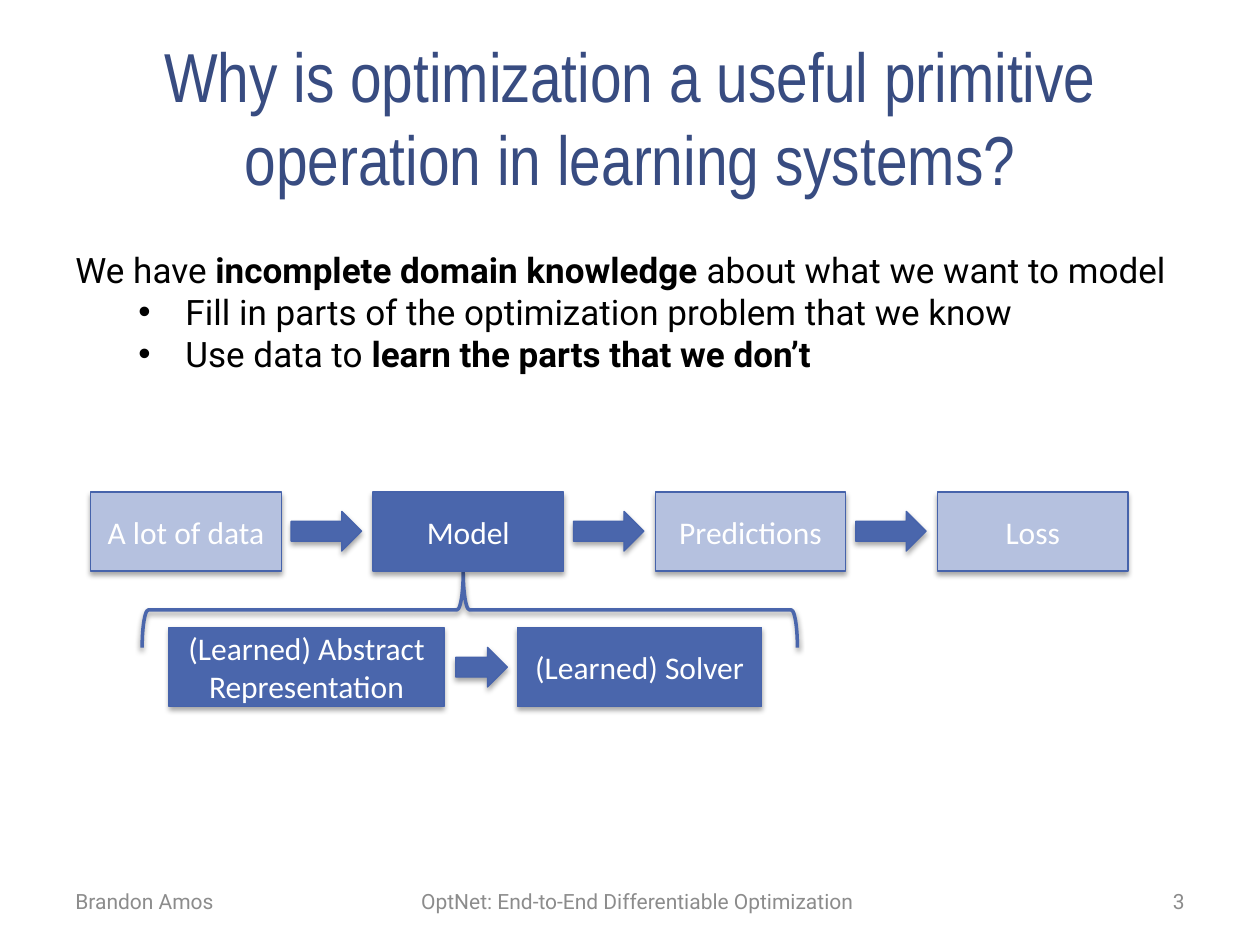
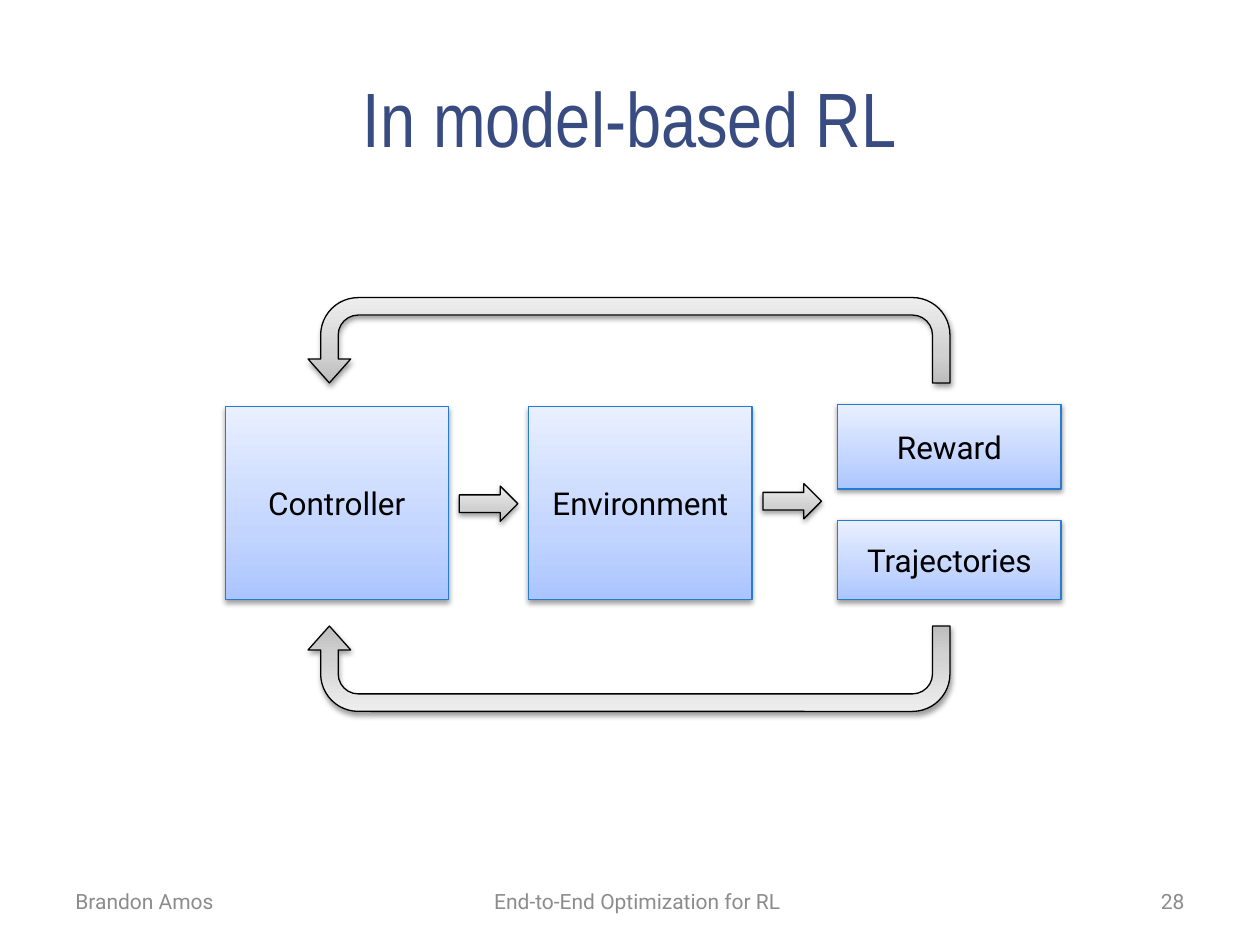
import pptx
import pptx.util
import pptx.dml.color
import pptx.enum.shapes
import pptx.enum.text
import pptx.oxml
import pptx.oxml.ns
import lxml.etree

Cm = pptx.util.Cm
Pt = pptx.util.Pt
RGBColor = pptx.dml.color.RGBColor
Shape = pptx.enum.shapes.MSO_SHAPE
Align = pptx.enum.text.PP_ALIGN
Anchor = pptx.enum.text.MSO_ANCHOR
qn = pptx.oxml.ns.qn

COLORS = {
    "title": "384C81", "footer": "8C8C8C", "black": "000000", "white": "FFFFFF",
    "blue": "4A66AC", "pale blue": "B5C1DF", "blue line": "4663AB", "box line": "247CD5",
}
# Gradients run from bottom to top: position in percent, colour
BOX_GRADIENT = [(0, "AAC5FF"), (35, "C3D5FF"), (100, "E8EFFF")]
ARROW_GRADIENT = [(0, "BDBDBD"), (35, "D1D1D1"), (100, "EEEEEE")]


def format_paragraph(paragraph, size, font, color, alignment=Align.LEFT):
    paragraph.alignment = alignment
    paragraph.font.size = Pt(size)
    paragraph.font.name = font
    paragraph.font.color.rgb = RGBColor.from_string(COLORS[color])


def add_block(slide, preset, position, fill, line, text="", font="Calibri",
              text_color="white", line_width=0.75, shadow_alpha=38, shadow_distance=1.6):
    """Add a shape with a soft shadow; fill is a colour name, a gradient or None."""
    shape = slide.shapes.add_shape(preset, *[Cm(length) for length in position])
    if fill is None:
        shape.fill.background()
    elif isinstance(fill, str):
        shape.fill.solid()
        shape.fill.fore_color.rgb = RGBColor.from_string(COLORS[fill])
    else:
        shape.fill.gradient()
        shape.fill.gradient_angle = 90
        stops = shape._element.spPr.find(".//" + qn("a:gsLst"))
        for stop in list(stops):
            stops.remove(stop)
        for percent, color in fill:
            stop = lxml.etree.SubElement(stops, qn("a:gs"), pos=str(percent * 1000))
            lxml.etree.SubElement(stop, qn("a:srgbClr"), val=color)
    shape.line.color.rgb = RGBColor.from_string(COLORS[line])
    shape.line.width = Pt(line_width)

    shape.shadow.inherit = False
    effects = shape._element.spPr.find(qn("a:effectLst"))
    shadow = lxml.etree.SubElement(
        effects, qn("a:outerShdw"), blurRad=str(Pt(3.1)), dist=str(Pt(shadow_distance)),
        dir="5400000", rotWithShape="0")
    shadow_color = lxml.etree.SubElement(shadow, qn("a:srgbClr"), val=COLORS["black"])
    lxml.etree.SubElement(shadow_color, qn("a:alpha"), val=str(shadow_alpha * 1000))

    if text:
        shape.text_frame.text = text
        shape.text_frame.word_wrap = True
        shape.text_frame.vertical_anchor = Anchor.MIDDLE
        format_paragraph(shape.text_frame.paragraphs[0], 18, font, text_color, Align.CENTER)
    return shape


presentation = pptx.Presentation()
presentation.slide_width = Cm(25.4)
presentation.slide_height = Cm(19.05)

# Titles and footers of both slides
slides = []
for title_text, title_size, talk, number in [
    ("Why is optimization a useful primitive operation in learning systems?", 39.6,
     "OptNet: End-to-End Differentiable Optimization", "3"),
    ("In model-based RL", 44, "End-to-End Optimization for RL", "28"),
]:
    slide = presentation.slides.add_slide(presentation.slide_layouts[5])
    slides.append(slide)
    title = slide.shapes.title
    title.left, title.top, title.width, title.height = Cm(1.27), Cm(0.76), Cm(22.86), Cm(3.18)
    title.text_frame.text = title_text
    title.text_frame.auto_size = pptx.enum.text.MSO_AUTO_SIZE.NONE
    title.text_frame.vertical_anchor = Anchor.MIDDLE
    format_paragraph(title.text_frame.paragraphs[0], title_size, "Arial Narrow", "title",
                     Align.CENTER)
    for text, left, width, alignment in [
        ("Brandon Amos", 1.27, 5.93, Align.LEFT),
        (talk, 7.5, 10.7, Align.CENTER),
        (number, 18.2, 5.93, Align.RIGHT),
    ]:
        footer = slide.shapes.add_textbox(Cm(left), Cm(17.66), Cm(width), Cm(1.01))
        footer.text_frame.text = text
        footer.text_frame.word_wrap = True
        footer.text_frame.vertical_anchor = Anchor.MIDDLE
        format_paragraph(footer.text_frame.paragraphs[0], 12, "Roboto", "footer", alignment)

pipeline_slide, loop_slide = slides

# Motivation: each paragraph is a list of (text, bold) runs
motivation = pipeline_slide.shapes.add_textbox(Cm(1.27), Cm(4.88), Cm(22.86), Cm(11.86))
motivation.text_frame.word_wrap = True
for index, runs in enumerate([
    [("We have ", False), ("incomplete domain knowledge ", True),
     ("about what we want to model", False)],
    [("Fill in parts of the optimization problem that we know", False)],
    [("Use data to ", False), ("learn the parts that we don’t", True)],
]):
    if index == 0:
        paragraph = motivation.text_frame.paragraphs[0]
    else:
        paragraph = motivation.text_frame.add_paragraph()
        paragraph.level = 1
        properties = paragraph._p.get_or_add_pPr()
        properties.set("marL", str(Cm(2.22)))
        properties.set("indent", str(Cm(-0.95)))
        lxml.etree.SubElement(properties, qn("a:buFont"), typeface="Arial")
        lxml.etree.SubElement(properties, qn("a:buChar"), char="•")
    format_paragraph(paragraph, 20, "Roboto", "black")
    for text, bold in runs:
        run = paragraph.add_run()
        run.text = text
        run.font.bold = bold

# Brace that opens up the model
brace = add_block(pipeline_slide, Shape.LEFT_BRACE, (8.71, 5.69, 1.52, 13.21), None, "blue",
                  line_width=2)
brace.rotation = 90
brace.adjustments[0] = 0.083
brace.adjustments[1] = 0.51

# Pipeline: four stages with arrows between them, then the two parts of the model
stage_step = 5.69
blocks = []
for index, stage in enumerate(["A lot of data", "Model", "Predictions", "Loss"]):
    offset = index * stage_step
    fill = "blue" if stage == "Model" else "pale blue"
    blocks.append((Shape.RECTANGLE, (1.83 + offset, 9.92, 3.84, 1.59), fill, stage))
    if index < 3:
        blocks.append((Shape.RIGHT_ARROW, (5.87 + offset, 10.31, 1.42, 0.8), "blue", ""))
blocks += [
    (Shape.RECTANGLE, (3.41, 12.65, 5.54, 1.59), "blue", "(Learned) Abstract Representation"),
    (Shape.RIGHT_ARROW, (9.19, 13.05, 1.04, 0.8), "blue", ""),
    (Shape.RECTANGLE, (10.43, 12.65, 4.93, 1.59), "blue", "(Learned) Solver"),
]
for preset, position, fill, text in blocks:
    add_block(pipeline_slide, preset, position, fill, "blue line", text,
              shadow_alpha=35, shadow_distance=1.8)

# Control loop: boxes
for text, left, top, height in [
    ("Controller", 4.54, 8.2, 3.89),
    ("Environment", 10.66, 8.2, 3.89),
    ("Reward", 16.89, 8.15, 1.71),
    ("Trajectories", 16.89, 10.49, 1.6),
]:
    add_block(loop_slide, Shape.RECTANGLE, (left, top, 4.5, height), BOX_GRADIENT, "box line",
              text, "Roboto", "black")

# Control loop: forward arrows
for left, top in [(9.26, 9.8), (15.38, 9.75)]:
    add_block(loop_slide, Shape.RIGHT_ARROW, (left, top, 1.18, 0.71), ARROW_GRADIENT, "black")

# Control loop: arrows back to the controller, the upper one mirrored
for top, mirrored in [(6.0, True), (12.62, False)]:
    arrow = add_block(loop_slide, Shape.U_TURN_ARROW, (6.21, top, 12.94, 1.72),
                      ARROW_GRADIENT, "black")
    arrow.rotation = 180
    for index, value in enumerate([0.205, 0.25, 0.28, 0.44, 1]):
        arrow.adjustments[index] = value
    if mirrored:
        arrow._element.spPr.find(qn("a:xfrm")).set("flipV", "1")

presentation.save("out.pptx")
